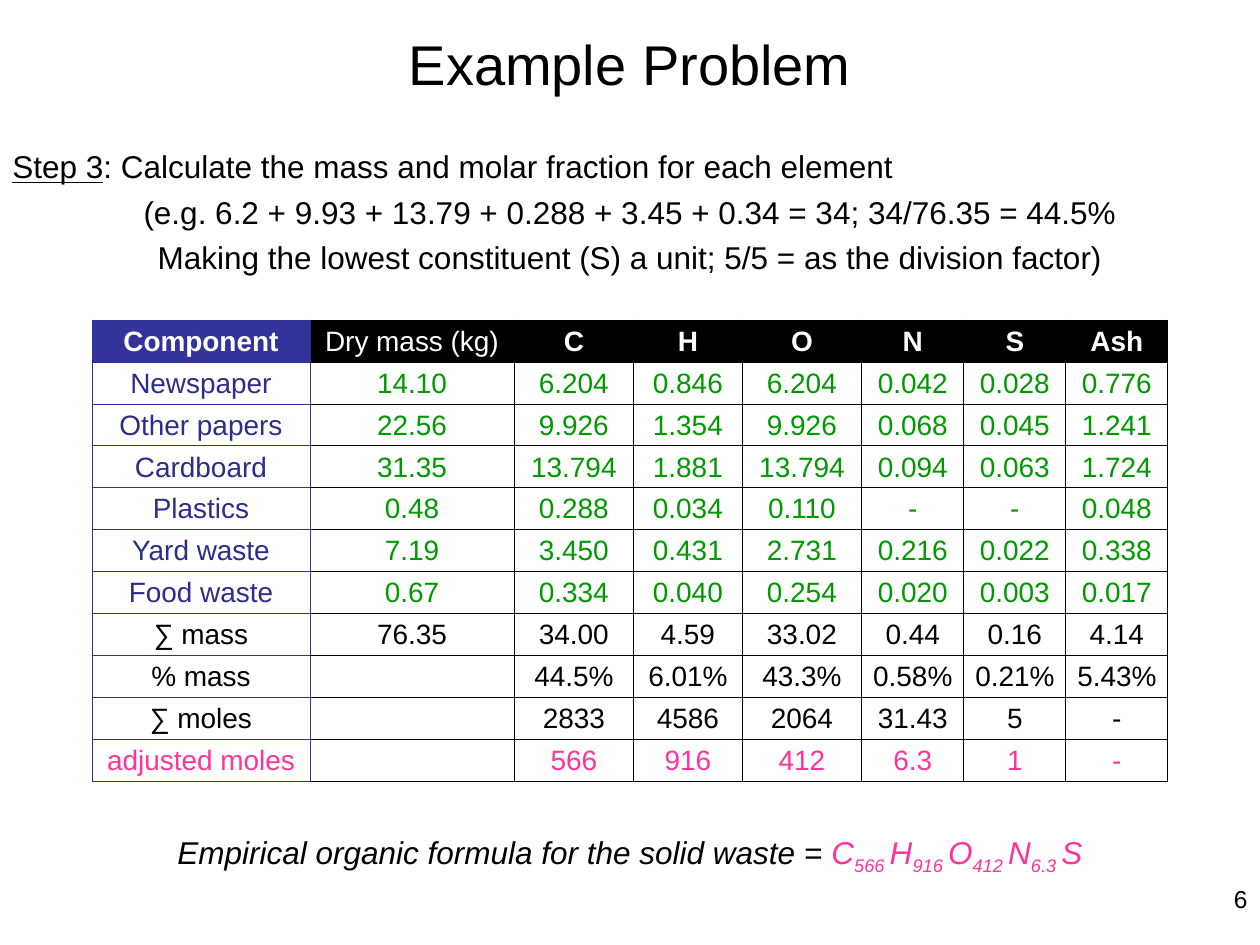
from dataclasses import dataclass

from lxml import etree
from pptx import Presentation
from pptx.dml.color import RGBColor
from pptx.enum.text import MSO_ANCHOR, PP_ALIGN
from pptx.oxml.ns import qn
from pptx.util import Inches, Pt

CENTER, RIGHT = PP_ALIGN.CENTER, PP_ALIGN.RIGHT
JUSTIFY = PP_ALIGN.JUSTIFY
TOP, MIDDLE = MSO_ANCHOR.TOP, MSO_ANCHOR.MIDDLE


@dataclass(frozen=True)
class Theme:
    font: str = "Arial"
    black: str = "000000"
    white: str = "FFFFFF"
    head: str = "333399"
    edge: str = "2F2F98"
    navy: str = "2D2D8A"
    green: str = "009900"
    pink: str = "FF3399"
    title: int = 32
    body: int = 18
    cell: int = 16
    page: int = 14


THEME = Theme()


@dataclass
class Bit:
    """A run of text with its own look."""
    text: str
    color: str = THEME.black
    bold: bool = False
    italic: bool = False
    line: bool = False
    sub: bool = False


@dataclass
class Para:
    bits: list[Bit]
    align: PP_ALIGN = CENTER
    space: float = 0


@dataclass
class Box:
    left: float
    top: float
    width: float
    height: float
    size: int
    paras: list[Para]
    anchor: MSO_ANCHOR = TOP
    inset: float = 0.05


@dataclass
class Row:
    cells: list[str]
    name: str = THEME.black
    value: str = THEME.black
    head: bool = False


def style(run, bit: Bit, size: int) -> None:
    font = run.font
    font.name, font.size = THEME.font, Pt(size)
    font.bold, font.italic = bit.bold, bit.italic
    font.underline = bit.line
    font.color.rgb = RGBColor.from_string(bit.color)
    if bit.sub:
        run._r.get_or_add_rPr().set("baseline", "-25000")


def fill_para(para, data: Para, size: int) -> None:
    para.alignment = data.align
    if data.space:
        para.space_before = Pt(data.space)
    for bit in data.bits:
        run = para.add_run()
        run.text = bit.text
        style(run, bit, size)


def draw_box(slide, box: Box) -> None:
    shape = slide.shapes.add_textbox(
        Inches(box.left), Inches(box.top), Inches(box.width), Inches(box.height))
    frame = shape.text_frame
    frame.word_wrap = True
    frame.vertical_anchor = box.anchor
    frame.margin_top = Inches(box.inset)
    for i, data in enumerate(box.paras):
        para = frame.add_paragraph() if i else frame.paragraphs[0]
        fill_para(para, data, box.size)


def draw_edge(cell, side: str, color: str) -> None:
    props = cell._tc.get_or_add_tcPr()
    line = etree.SubElement(props, qn(f"a:ln{side}"), w=str(Pt(0.5)))
    solid = etree.SubElement(line, qn("a:solidFill"))
    etree.SubElement(solid, qn("a:srgbClr"), val=color)


def draw_cell(cell, text: str, row: Row, col: int) -> None:
    first = col == 0
    cell.margin_left = cell.margin_right = cell.margin_top = Inches(0.01)
    cell.margin_bottom = Inches(0)
    cell.vertical_anchor = MIDDLE
    for side in "LRTB":
        blue = first or (col == 1 and side == "L")
        draw_edge(cell, side, THEME.edge if blue else THEME.black)
    if row.head:
        cell.fill.solid()
        cell.fill.fore_color.rgb = RGBColor.from_string(
            THEME.head if first else THEME.black)
    else:
        cell.fill.background()
    if text:
        bit = Bit(text, row.name if first else row.value,
                  bold=row.head and col != 1)
        fill_para(cell.text_frame.paragraphs[0], Para([bit]), THEME.cell)


def draw_table(slide, rows: list[Row], widths: list[float]) -> None:
    table = slide.shapes.add_table(
        len(rows), len(widths), Inches(0.73), Inches(2.54),
        Inches(sum(widths)), Inches(3.66)).table
    table.first_row = table.horz_banding = False
    for col, width in zip(table.columns, widths):
        col.width = Inches(width)
    for r, row in enumerate(rows):
        for c, text in enumerate(row.cells):
            draw_cell(table.cell(r, c), text, row, c)


# Table content, one line per row
WIDTHS = [1.73, 1.62, 0.95, 0.86, 0.95, 0.81, 0.81, 0.81]
HEAD = ["Component", "Dry mass (kg)", "C", "H", "O", "N", "S", "Ash"]
WASTE = [
    ["Newspaper", "14.10", "6.204", "0.846", "6.204", "0.042", "0.028", "0.776"],
    ["Other papers", "22.56", "9.926", "1.354", "9.926", "0.068", "0.045", "1.241"],
    ["Cardboard", "31.35", "13.794", "1.881", "13.794", "0.094", "0.063", "1.724"],
    ["Plastics", "0.48", "0.288", "0.034", "0.110", "-", "-", "0.048"],
    ["Yard waste", "7.19", "3.450", "0.431", "2.731", "0.216", "0.022", "0.338"],
    ["Food waste", "0.67", "0.334", "0.040", "0.254", "0.020", "0.003", "0.017"],
]
SUMS = [
    ["∑ mass", "76.35", "34.00", "4.59", "33.02", "0.44", "0.16", "4.14"],
    ["% mass", "", "44.5%", "6.01%", "43.3%", "0.58%", "0.21%", "5.43%"],
    ["∑ moles", "", "2833", "4586", "2064", "31.43", "5", "-"],
]
MOLES = ["adjusted moles", "", "566", "916", "412", "6.3", "1", "-"]
ROWS = [
    Row(HEAD, THEME.white, THEME.white, head=True),
    *[Row(cells, THEME.navy, THEME.green) for cells in WASTE],
    *[Row(cells) for cells in SUMS],
    Row(MOLES, THEME.pink, THEME.pink),
]

# Formula: each element is followed by its lowered count
FORMULA = [Bit("Empirical organic formula for the solid waste = ", italic=True)]
for atom, count in [("C", "566 "), ("H", "916 "), ("O", "412 "), ("N", "6.3 ")]:
    FORMULA += [Bit(atom, THEME.pink, italic=True),
                Bit(count, THEME.pink, italic=True, sub=True)]
FORMULA.append(Bit("S", THEME.pink, italic=True))

# Text boxes
TITLE = Box(0.5, 0.09, 9, 0.82, THEME.title,
            [Para([Bit("Example Problem")])], MIDDLE)
STEP = Box(0, 1.07, 10, 1.1, THEME.body, [
    Para([Bit("Step 3", line=True),
          Bit(": Calculate the mass and molar fraction for each element")], JUSTIFY),
    Para([Bit("(e.g. 6.2 + 9.93 + 13.79 + 0.288 + 3.45 + 0.34 = 34; "
              "34/76.35 = 44.5%")], space=4.3),
    Para([Bit("Making the lowest constituent (S) a unit; "
              "5/5 = as the division factor)")], space=4.3),
], inset=0.1)
PAGE = Box(7.67, 6.97, 2.33, 0.52, THEME.page, [Para([Bit("6")], RIGHT)])
RESULT = Box(0.92, 6.56, 8.16, 0.4, THEME.body, [Para(FORMULA)])


def main() -> None:
    deck = Presentation()
    deck.slide_width, deck.slide_height = Inches(10), Inches(7.5)
    slide = deck.slides.add_slide(deck.slide_layouts[6])
    for box in (TITLE, STEP, PAGE):
        draw_box(slide, box)
    draw_table(slide, ROWS, WIDTHS)
    draw_box(slide, RESULT)
    deck.save("out.pptx")


if __name__ == "__main__":
    main()
